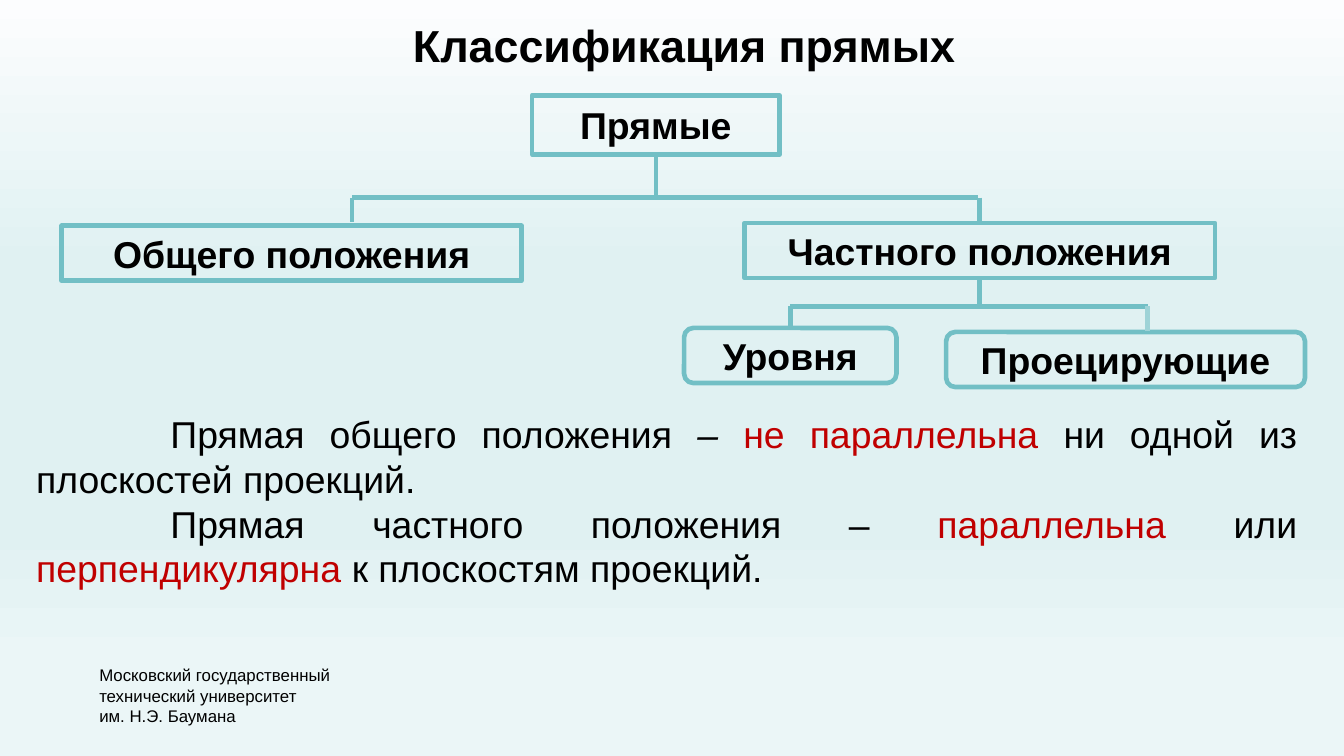
from copy import deepcopy
from dataclasses import dataclass
from typing import Optional

from lxml.etree import SubElement
from pptx import Presentation
from pptx.dml.color import RGBColor
from pptx.enum.dml import MSO_THEME_COLOR
from pptx.enum.shapes import MSO_CONNECTOR, MSO_SHAPE
from pptx.enum.text import MSO_ANCHOR, MSO_AUTO_SIZE, PP_ALIGN
from pptx.oxml.ns import qn
from pptx.slide import Slide
from pptx.util import Inches, Pt

BLACK = RGBColor(0x00, 0x00, 0x00)
RED = RGBColor(0xC0, 0x00, 0x00)
TEAL = RGBColor(0x72, 0xBF, 0xC5)
LIGHT_TEAL = RGBColor(0x9E, 0xD3, 0xD7)
BACKGROUND_STOPS = [
    (0, RGBColor(0xFC, 0xFD, 0xFE)),
    (35, RGBColor(0xE0, 0xF1, 0xF2)),
    (69, RGBColor(0xE0, 0xF1, 0xF2)),
    (88, RGBColor(0xEB, 0xF6, 0xF7)),
    (100, RGBColor(0xEB, 0xF6, 0xF7)),
]
TOP, BOTTOM = 0, 2


@dataclass
class TextRun:
    text: str
    color: RGBColor = BLACK
    bold: bool = False
    italic: bool = False
    font: str = "Arial"


@dataclass
class Box:
    text: str
    left: float
    top: float
    width: float
    height: float = 0.41
    kind: MSO_SHAPE = MSO_SHAPE.RECTANGLE


@dataclass
class Branch:
    start: tuple[float, float]
    end: tuple[float, float]
    begin_box: Optional[str] = None
    end_box: Optional[str] = None
    color: RGBColor = TEAL


BOXES = [
    Box("Прямые", 3.96, 0.71, 1.84, 0.44),
    Box("Общего положения", 0.46, 1.68, 3.42),
    Box("Частного положения", 5.54, 1.66, 3.5),
    Box("Уровня", 5.09, 2.44, 1.58, kind=MSO_SHAPE.ROUNDED_RECTANGLE),
    Box("Проецирующие", 7.04, 2.47, 2.67, kind=MSO_SHAPE.ROUNDED_RECTANGLE),
]
BRANCHES = [
    Branch((4.88, 1.15), (4.88, 1.45), begin_box="Прямые"),
    Branch((2.62, 1.47), (4.96, 1.47)),
    Branch((4.96, 1.47), (7.28, 1.47)),
    Branch((2.62, 1.47), (2.62, 1.65)),
    Branch((7.29, 1.47), (7.29, 1.66), end_box="Частного положения"),
    Branch((7.29, 2.07), (7.29, 2.26), begin_box="Частного положения"),
    Branch((5.88, 2.28), (7.31, 2.28)),
    Branch((7.28, 2.28), (8.54, 2.28)),
    Branch((5.88, 2.28), (5.88, 2.44), end_box="Уровня"),
    Branch((8.54, 2.28), (8.54, 2.46), color=LIGHT_TEAL),
]
TITLE = [[TextRun("Классификация прямых", bold=True)]]
DEFINITIONS = [
    [
        TextRun("\t", font="Times New Roman"),
        TextRun("Прямая общего положения "),
        TextRun("– ", italic=True),
        TextRun("не параллельна ", RED),
        TextRun("ни одной из плоскостей проекций."),
    ],
    [
        TextRun("\tПрямая частного положения – "),
        TextRun("параллельна ", RED),
        TextRun("или"),
        TextRun(" перпендикулярна ", RED),
        TextRun("к плоскостям проекций."),
    ],
]
UNIVERSITY = [
    [TextRun("Московский государственный")],
    [TextRun("технический университет")],
    [TextRun("им. Н.Э. Баумана")],
]


def paint_background(slide: Slide) -> None:
    fill = slide.background.fill
    fill.gradient()
    fill.gradient_angle = 270
    stop_list = slide.element.find(".//" + qn("a:gsLst"))
    template = stop_list[0]
    for _ in BACKGROUND_STOPS[2:]:
        stop_list.append(deepcopy(template))
    for stop, (percent, color) in zip(fill.gradient_stops, BACKGROUND_STOPS):
        stop.position = percent / 100
        stop.color.theme_color = MSO_THEME_COLOR.ACCENT_1
        stop.color.rgb = color


def write_text(frame, paragraphs: list[list[TextRun]], size: float, alignment: PP_ALIGN) -> None:
    for index, runs in enumerate(paragraphs):
        paragraph = frame.add_paragraph() if index else frame.paragraphs[0]
        paragraph.alignment = alignment
        for item in runs:
            run = paragraph.add_run()
            run.text = item.text
            run.font.name = item.font
            run.font.size = Pt(size)
            run.font.bold = item.bold
            run.font.italic = item.italic
            run.font.color.rgb = item.color


def add_text(slide: Slide, bounds: tuple[float, ...], paragraphs: list[list[TextRun]],
             size: float, alignment: PP_ALIGN, wrap: bool = True):
    shape = slide.shapes.add_textbox(*map(Inches, bounds))
    frame = shape.text_frame
    frame.word_wrap = wrap
    frame.auto_size = MSO_AUTO_SIZE.SHAPE_TO_FIT_TEXT
    write_text(frame, paragraphs, size, alignment)
    return shape


def set_tab_stop(shape, position: float) -> None:
    for properties in shape.element.iter(qn("a:pPr")):
        tab_list = SubElement(properties, qn("a:tabLst"))
        SubElement(tab_list, qn("a:tab"), pos=str(Inches(position)), algn="l")


def add_box(slide: Slide, box: Box):
    bounds = map(Inches, (box.left, box.top, box.width, box.height))
    shape = slide.shapes.add_shape(box.kind, *bounds)
    shape.shadow.inherit = False
    shape.fill.background()
    shape.line.color.rgb = TEAL
    shape.line.width = Pt(2.5)
    frame = shape.text_frame
    frame.word_wrap = True
    frame.vertical_anchor = MSO_ANCHOR.MIDDLE
    write_text(frame, [[TextRun(box.text, bold=True)]], 20, PP_ALIGN.CENTER)
    return shape


def add_branch(slide: Slide, branch: Branch, shapes: dict) -> None:
    ends = map(Inches, branch.start + branch.end)
    connector = slide.shapes.add_connector(MSO_CONNECTOR.STRAIGHT, *ends)
    connector.line.color.rgb = branch.color
    connector.line.width = Pt(2.5)
    SubElement(connector.element.spPr, qn("a:effectLst"))
    if branch.begin_box:
        connector.begin_connect(shapes[branch.begin_box], BOTTOM)
    if branch.end_box:
        connector.end_connect(shapes[branch.end_box], TOP)


def main() -> None:
    presentation = Presentation()
    presentation.slide_width = Inches(10)
    presentation.slide_height = Inches(10 * 9 / 16)
    slide = presentation.slides.add_slide(presentation.slide_layouts[6])
    paint_background(slide)
    add_text(slide, (1.94, 0.08, 6.3, 0.51), TITLE, 24, PP_ALIGN.CENTER)
    definitions = add_text(slide, (0.17, 3.01, 9.58, 1.45), DEFINITIONS, 20, PP_ALIGN.JUSTIFY)
    set_tab_stop(definitions, 1)
    shapes = {box.text: add_box(slide, box) for box in BOXES}
    for branch in BRANCHES:
        add_branch(slide, branch, shapes)
    add_text(slide, (0.64, 4.9, 1.98, 0.56), UNIVERSITY, 9, PP_ALIGN.LEFT, wrap=False)
    presentation.save("out.pptx")


if __name__ == "__main__":
    main()
